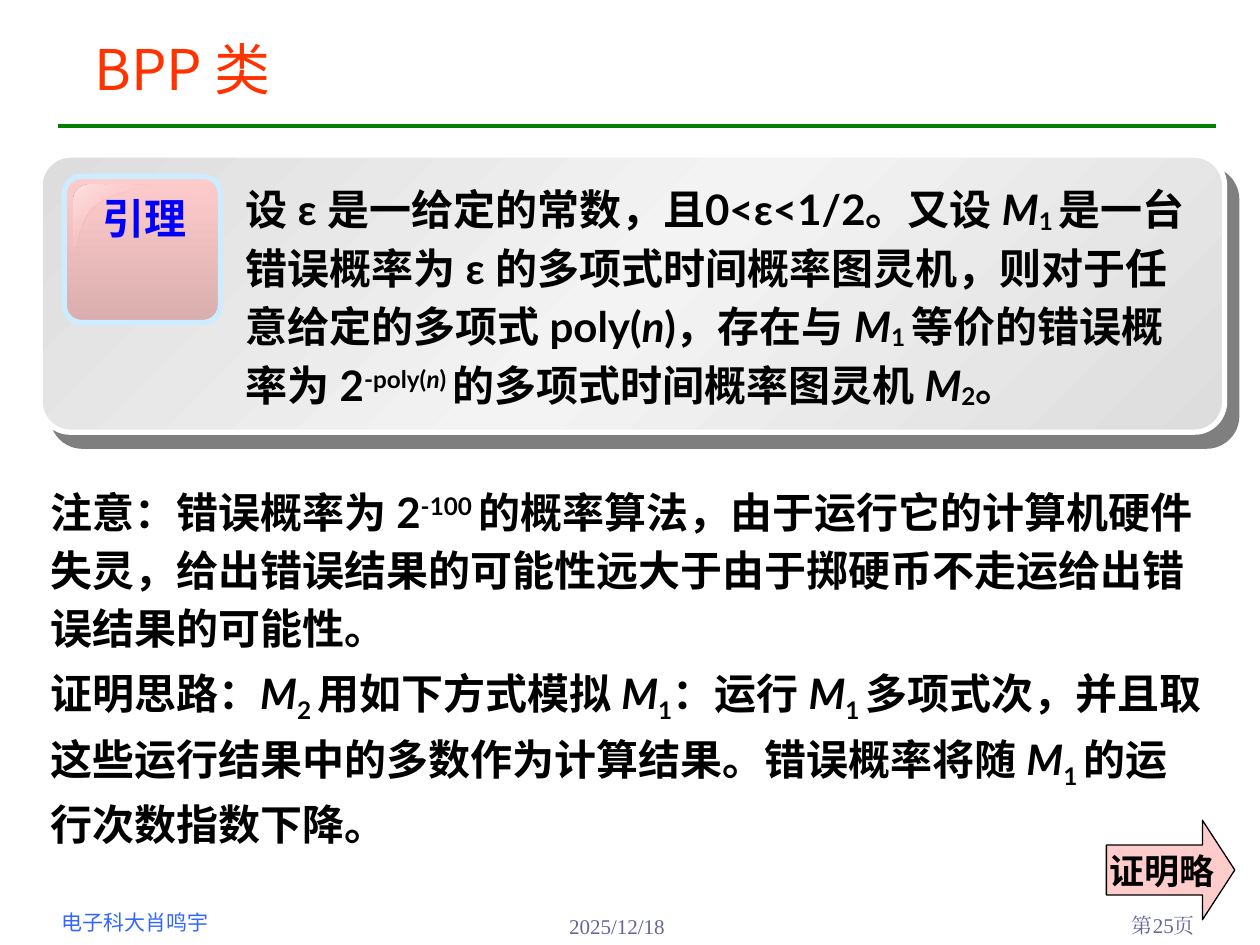
from dataclasses import dataclass

from lxml.etree import SubElement
from pptx import Presentation
from pptx.dml.color import RGBColor
from pptx.enum.shapes import MSO_CONNECTOR as Connector, MSO_SHAPE as Shape
from pptx.enum.text import MSO_ANCHOR as Anchor, PP_ALIGN as Align
from pptx.oxml.ns import qn
from pptx.util import Pt


@dataclass(frozen=True)
class Theme:
    title: str = "FF3300"
    rule: str = "008000"
    text: str = "000000"
    label: str = "0000FF"
    author: str = "3366FF"
    footer: str = "666699"
    pink: str = "FFCCCC"
    dark_pink: str = "DAAEAE"
    light_pink: str = "FFE5E5"
    gray: str = "DDDDDD"
    light_gray: str = "F3F3F3"
    white: str = "FFFFFF"
    badge_line: str = "CCECFF"
    title_size: float = 32
    body_size: float = 24
    arrow_size: float = 20
    footer_size: float = 12
    heading_font: str = "Noto Sans CJK SC"
    body_font: str = "Lato"
    author_font: str = "Arial"
    footer_font: str = "Times New Roman"


THEME = Theme()

LEMMA = [[
    ("设 ε 是一给定的常数，且0<ε<1/2。又设 ", 0), ("M", 0), ("1 ", -10),
    ("是一台错误概率为 ε 的多项式时间概率图灵机，则对于任意给定的多项式 poly(", 0),
    ("n", 0), (")，存在与 ", 0), ("M", 0), ("1 ", -10), ("等价的错误概率为 2", 0),
    ("-poly(", 30), ("n", 30), (") ", 30),
    ("的多项式时间概率图灵机 ", 0), ("M", 0), ("2", -10), ("。", 0),
]]
NOTES = [
    [
        ("注意：错误概率为 2", 0), ("-100 ", 30),
        ("的概率算法，由于运行它的计算机硬件失灵，给出错误结果的可能性"
         "远大于由于掷硬币不走运给出错误结果的可能性。", 0),
    ],
    [
        ("证明思路：", 0), ("M", 0), ("2 ", -25), ("用如下方式模拟 ", 0),
        ("M", 0), ("1", -25), ("：运行 ", 0), ("M", 0), ("1 ", -25),
        ("多项式次，并且取这些运行结果中的多数作为计算结果。错误概率将随 ", 0),
        ("M", 0), ("1 ", -25), ("的运行次数指数下降。", 0),
    ],
]
VARIABLES = {"M", "n"}


def rgb(color):
    return RGBColor.from_string(color)


def format_run(run, font_name, size, color, bold=False):
    run.font.name = font_name
    run.font.size = Pt(size)
    run.font.bold = bold
    run.font.color.rgb = rgb(color)
    east_asian = SubElement(run.font._element, qn("a:ea"))
    east_asian.set("typeface", font_name)


def add_box(slide, box):
    frame = slide.shapes.add_textbox(*map(Pt, box)).text_frame
    frame.word_wrap = True
    return frame


def add_label(slide, box, text, font_name, size, color, bold=False,
              align=Align.LEFT, anchor=Anchor.TOP):
    frame = add_box(slide, box)
    frame.vertical_anchor = anchor
    frame.text = text
    paragraph = frame.paragraphs[0]
    paragraph.alignment = align
    format_run(paragraph.runs[0], font_name, size, color, bold)


def add_body(slide, box, paragraphs):
    frame = add_box(slide, box)
    for index, pieces in enumerate(paragraphs):
        paragraph = frame.add_paragraph() if index else frame.paragraphs[0]
        paragraph.line_spacing = 1.15
        paragraph.space_before = Pt(3.6 if index else 0)
        for text, baseline in pieces:
            run = paragraph.add_run()
            run.text = text
            format_run(run, THEME.body_font, THEME.body_size, THEME.text, True)
            run.font.italic = text in VARIABLES
            if baseline:
                run.font._element.set("baseline", str(baseline * 1000))


def add_color(parent, color, opacity=100):
    element = SubElement(parent, qn("a:srgbClr"), val=color)
    if opacity < 100:
        SubElement(element, qn("a:alpha"), val=str(opacity * 1000))


def fill_gradient(shape, angle, stops):
    shape.fill.gradient()
    shape.fill.gradient_angle = 360 - angle
    stop_list = shape._element.spPr.find(".//" + qn("a:gsLst"))
    for stop in list(stop_list):
        stop_list.remove(stop)
    for position, color, opacity in stops:
        stop = SubElement(stop_list, qn("a:gs"), pos=str(position * 1000))
        add_color(stop, color, opacity)


def add_preset(slide, kind, box, adjustments, line_color, line_width):
    shape = slide.shapes.add_shape(kind, *map(Pt, box))
    for index, value in enumerate(adjustments):
        shape.adjustments[index] = value
    shape.line.color.rgb = rgb(line_color)
    shape.line.width = Pt(line_width)
    shape.shadow.inherit = False
    return shape


def add_offset_shadow(shape, distance, angle, opacity):
    effects = shape._element.spPr.find(qn("a:effectLst"))
    shadow = SubElement(effects, qn("a:outerShdw"), dist=str(Pt(distance)),
                        dir=str(angle * 60000), algn="ctr", rotWithShape="0")
    add_color(shadow, THEME.text, opacity)


def curve(start, first, second, end, steps=12):
    for step in range(1, steps + 1):
        t = step / steps
        weights = ((1 - t) ** 3, 3 * t * (1 - t) ** 2, 3 * t * t * (1 - t), t ** 3)
        yield tuple(sum(w * v for w, v in zip(weights, values))
                    for values in zip(start, first, second, end))


def add_gloss(slide):
    top_left, side, bottom = (51.1, 105.8), (41.8, 114.5), (41.8, 147.6)
    middle, tip = (54, 118.1), (85.7, 105.8)
    points = [
        *curve(top_left, (46.1, 105.8), (41.8, 109.4), side),
        bottom,
        *curve(bottom, (43.9, 147.6), (43.2, 127.4), middle),
        *curve(middle, (64.8, 108.7), (86.4, 108), tip),
    ]
    builder = slide.shapes.build_freeform(*map(Pt, top_left))
    builder.add_line_segments([tuple(map(Pt, point)) for point in points], close=True)
    gloss = builder.convert_to_shape()
    gloss.line.fill.background()
    gloss.shadow.inherit = False
    fill_gradient(gloss, 45, [(0, THEME.light_pink, 100), (50, THEME.pink, 0),
                              (100, THEME.light_pink, 100)])


def add_rule(slide):
    rule = slide.shapes.add_connector(Connector.STRAIGHT, Pt(33.1), Pt(72), Pt(694.8), Pt(72))
    rule.line.color.rgb = rgb(THEME.rule)
    rule.line.width = Pt(2.25)
    SubElement(rule._element.spPr, qn("a:effectLst"))


def add_lemma(slide):
    panel = add_preset(slide, Shape.ROUNDED_RECTANGLE, (23, 88.6, 676.8, 158.4),
                       [0.109], THEME.white, 3)
    fill_gradient(panel, 45, [(0, THEME.gray, 100), (50, THEME.light_gray, 100),
                              (100, THEME.gray, 100)])
    add_offset_shadow(panel, 10.6, 49, 50)
    badge = add_preset(slide, Shape.ROUNDED_RECTANGLE, (36.7, 100.8, 89.3, 83.5),
                       [0.119], THEME.badge_line, 3)
    fill_gradient(badge, 90, [(0, THEME.pink, 100), (100, THEME.dark_pink, 100)])
    add_gloss(slide)
    add_label(slide, (49, 106.6, 67.7, 36), "引理", THEME.heading_font,
              THEME.body_size, THEME.label, True, Align.CENTER)
    add_body(slide, (133.2, 97.2, 561.6, 139.7), LEMMA)


def add_proof_arrow(slide):
    arrow = add_preset(slide, Shape.RIGHT_ARROW, (632.2, 468.7, 73.4, 56.9),
                       [0.5, 0.325], THEME.text, 0.75)
    arrow.fill.solid()
    arrow.fill.fore_color.rgb = rgb(THEME.pink)
    frame = arrow.text_frame
    frame.text = "证明略"
    frame.word_wrap = False
    frame.vertical_anchor = Anchor.MIDDLE
    frame.paragraphs[0].alignment = Align.CENTER
    format_run(frame.paragraphs[0].runs[0], THEME.heading_font, THEME.arrow_size,
               THEME.text, True)


def add_footers(slide):
    add_label(slide, (28.1, 516.2, 144.7, 21.6), "电子科大肖鸣宇", THEME.author_font,
              THEME.footer_size, THEME.author)
    add_label(slide, (318.2, 518.4, 143.3, 21.6), "2025/12/18", THEME.footer_font,
              THEME.footer_size, THEME.footer)
    add_label(slide, (626.4, 517.7, 63.4, 22.3), "第25页", THEME.footer_font,
              THEME.footer_size, THEME.footer, align=Align.RIGHT)


def main():
    presentation = Presentation()
    presentation.slide_width, presentation.slide_height = Pt(720), Pt(540)
    slide = presentation.slides.add_slide(presentation.slide_layouts[6])
    add_rule(slide)
    add_footers(slide)
    add_lemma(slide)
    add_label(slide, (46.8, 15.1, 635.8, 48.2), "BPP 类", THEME.heading_font,
              THEME.title_size, THEME.title, anchor=Anchor.MIDDLE)
    add_body(slide, (21.6, 270, 672.5, 210.2), NOTES)
    add_proof_arrow(slide)
    presentation.save("out.pptx")


if __name__ == "__main__":
    main()
